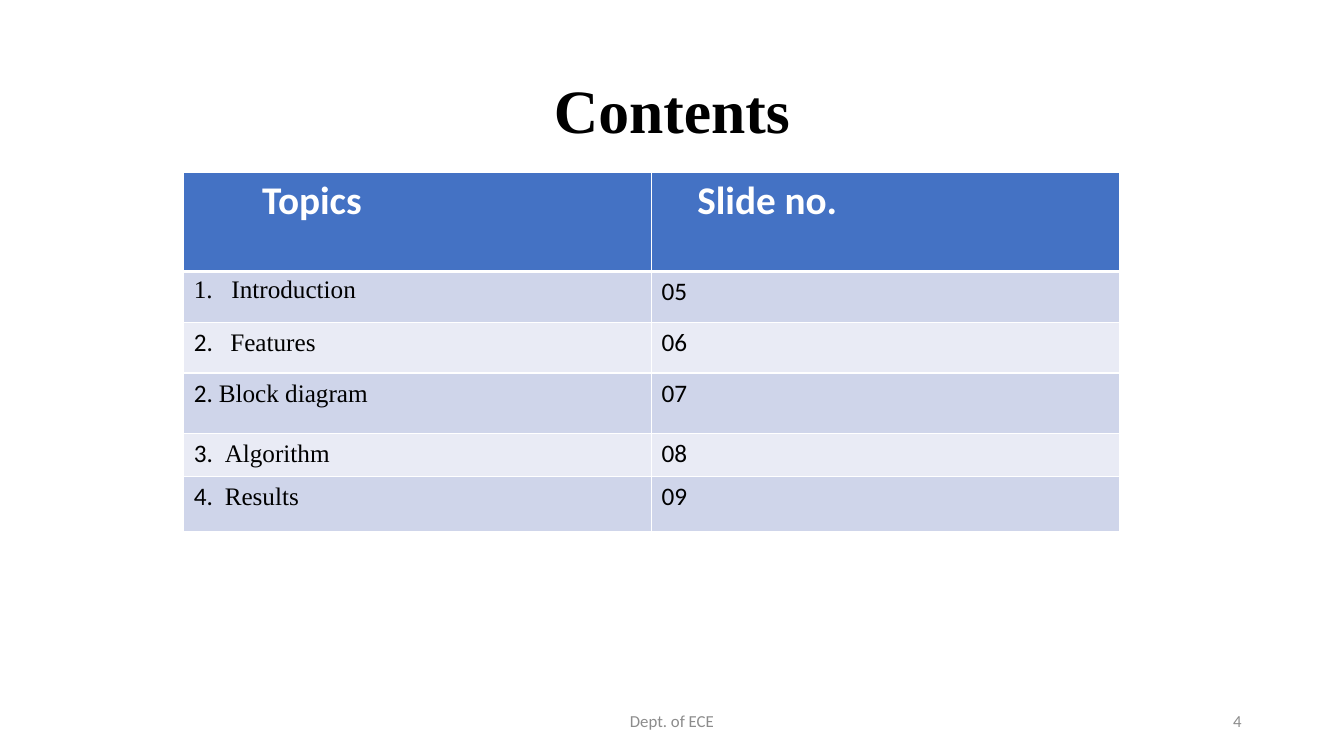
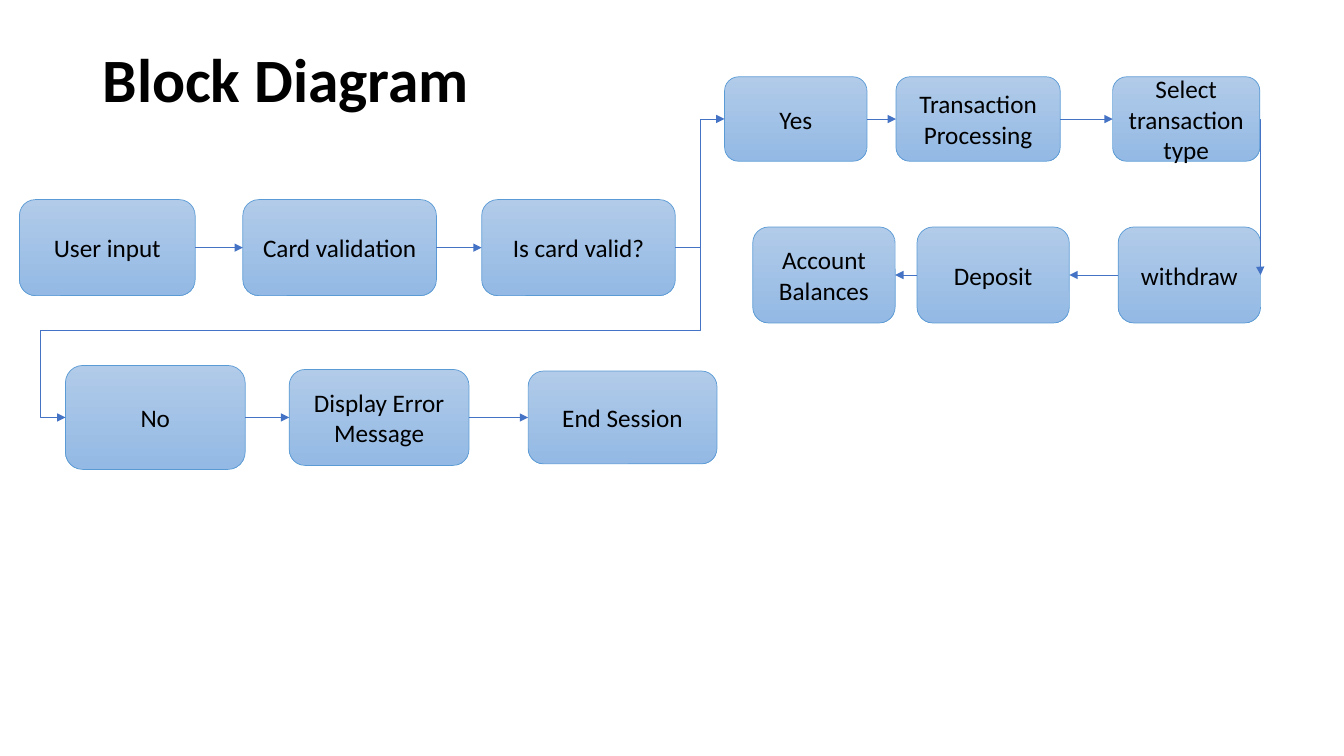
from lxml import etree
from pptx import Presentation
from pptx.dml.color import RGBColor
from pptx.enum.shapes import MSO_CONNECTOR, MSO_SHAPE
from pptx.enum.text import MSO_ANCHOR, MSO_AUTO_SIZE, PP_ALIGN
from pptx.oxml.ns import qn
from pptx.util import Cm, Pt

STRAIGHT, ELBOW = MSO_CONNECTOR.STRAIGHT, MSO_CONNECTOR.ELBOW
ROUNDED = MSO_SHAPE.ROUNDED_RECTANGLE
MIDDLE = MSO_ANCHOR.MIDDLE
LEFT, CENTER, RIGHT = PP_ALIGN.LEFT, PP_ALIGN.CENTER, PP_ALIGN.RIGHT
LEFT_SIDE, RIGHT_SIDE = 1, 3

# Shared look
SANS, SERIF = "Calibri", "Times New Roman"
BLACK, WHITE, GREY = "000000", "FFFFFF", "8C8C8C"
BLUE, BOX_LINE = "4472C4", "5B9BD5"
BOX_TOP, BOX_BOTTOM = "B1CBE9", "93B9E4"
BANDS = ("CFD5EA", "E9EBF5")
TITLE_LEFT, TITLE_TOP, TITLE_WIDTH = 2.33, 1.01, 29.21
ELBOW_REACH = Cm(0.63)


def color(hex_code):
    return RGBColor.from_string(hex_code)


def add_text(paragraph, text, size=18, font=SANS, fill=BLACK, bold=False, align=LEFT):
    paragraph.alignment = align
    run = paragraph.add_run()
    run.text = text
    run.font.size = Pt(size)
    run.font.name = font
    run.font.bold = bold
    run.font.color.rgb = color(fill)


def add_slide(presentation, title, height, **text_format):
    slide = presentation.slides.add_slide(presentation.slide_layouts[5])
    shape = slide.shapes.title
    shape.left, shape.top = Cm(TITLE_LEFT), Cm(TITLE_TOP)
    shape.width, shape.height = Cm(TITLE_WIDTH), Cm(height)
    frame = shape.text_frame
    frame.vertical_anchor = MIDDLE
    frame.auto_size = MSO_AUTO_SIZE.NONE
    paragraph = frame.paragraphs[0]
    paragraph.line_spacing = 0.9
    add_text(paragraph, title, size=44, bold=True, **text_format)
    return slide


def add_footer(slide, text, left, width, align):
    box = slide.shapes.add_textbox(Cm(left), Cm(17.65), Cm(width), Cm(1.01))
    frame = box.text_frame
    frame.word_wrap = True
    frame.vertical_anchor = MIDDLE
    add_text(frame.paragraphs[0], text, size=12, fill=GREY, align=align)


# Table parts
def set_indent(paragraph, margin, first_line=0.0):
    properties = paragraph._p.get_or_add_pPr()
    properties.set("marL", str(Cm(margin)))
    properties.set("indent", str(Cm(first_line)))
    return properties


def format_cell(cell, fill, bottom=1):
    cell.fill.solid()
    cell.fill.fore_color.rgb = color(fill)
    properties = cell._tc.get_or_add_tcPr()
    sides = (("lnL", 1), ("lnR", 1), ("lnT", 1), ("lnB", bottom))
    for position, (side, width) in enumerate(sides):
        border = etree.Element(qn(f"a:{side}"), w=str(Pt(width)))
        solid = etree.SubElement(border, qn("a:solidFill"))
        etree.SubElement(solid, qn("a:srgbClr"), val=WHITE)
        properties.insert(position, border)


def add_contents_table(slide, headers, topics, heights):
    table = slide.shapes.add_table(
        len(heights), 2, Cm(4.63), Cm(4.35), Cm(23.58), Cm(sum(heights))).table
    for row, height in zip(table.rows, heights):
        row.height = Cm(height)

    for column, (text, margin) in enumerate(headers):
        cell = table.cell(0, column)
        format_cell(cell, BLUE, bottom=3)
        paragraph = cell.text_frame.paragraphs[0]
        set_indent(paragraph, margin)
        add_text(paragraph, text, size=28, fill=WHITE, bold=True)

    for row, (number, topic, page, indent) in enumerate(topics, start=1):
        cells = table.cell(row, 0), table.cell(row, 1)
        for cell in cells:
            format_cell(cell, BANDS[(row - 1) % 2])
        paragraph = cells[0].text_frame.paragraphs[0]
        properties = set_indent(paragraph, indent, -indent)
        if number:
            add_text(paragraph, f"{number}\t")
        else:
            etree.SubElement(properties, qn("a:buFont"), typeface="+mj-lt")
            etree.SubElement(properties, qn("a:buAutoNum"), type="arabicPeriod")
        add_text(paragraph, topic, font=SERIF)
        add_text(cells[1].text_frame.paragraphs[0], page)


# Diagram parts
def add_box(slide, text, left, middle, width, height):
    shape = slide.shapes.add_shape(
        ROUNDED, Cm(left), Cm(middle - height / 2), Cm(width), Cm(height))
    shape.shadow.inherit = False
    shape.fill.gradient()
    shape.fill.gradient_angle = 270
    for stop, hex_code in zip(shape.fill.gradient_stops, (BOX_TOP, BOX_BOTTOM)):
        stop.color.rgb = color(hex_code)
    shape.line.color.rgb = color(BOX_LINE)
    shape.line.width = Pt(0.5)
    frame = shape.text_frame
    frame.word_wrap = True
    frame.vertical_anchor = MIDDLE
    add_text(frame.paragraphs[0], text, align=CENTER)
    return shape


def add_arrow(slide, start, end, start_side=RIGHT_SIDE, end_side=LEFT_SIDE, kind=STRAIGHT):
    connector = slide.shapes.add_connector(kind, 0, 0, 0, 0)
    connector.begin_connect(start, start_side)
    connector.end_connect(end, end_side)
    connector.line.color.rgb = color(BLUE)
    connector.line.width = Pt(0.5)
    etree.SubElement(connector.line._get_or_add_ln(), qn("a:tailEnd"), type="triangle")
    etree.SubElement(connector._element.spPr, qn("a:effectLst"))
    return connector


def bend(connector, *fractions):
    """Place the bends of an elbow at fractions of its width and height."""
    geometry = connector._element.spPr.find(qn("a:prstGeom"))
    geometry.set("prst", f"bentConnector{len(fractions) + 2}")
    guides = geometry.find(qn("a:avLst"))
    if guides is None:
        guides = etree.SubElement(geometry, qn("a:avLst"))
    for number, fraction in enumerate(fractions, start=1):
        name = "adj" if len(fractions) == 1 else f"adj{number}"
        etree.SubElement(guides, qn("a:gd"), name=name, fmla=f"val {round(fraction * 100000)}")


def add_flow(slide, middle, boxes, sides=(RIGHT_SIDE, LEFT_SIDE)):
    """Draw boxes on one centre line and join each to the next."""
    shapes = [add_box(slide, text, left, middle, width, height)
              for text, left, width, height in boxes]
    for start, end in zip(shapes, shapes[1:]):
        add_arrow(slide, start, end, *sides)
    return shapes


# Slides
def build_contents(presentation):
    slide = add_slide(presentation, "Contents", 3.68, font=SERIF, align=CENTER)
    add_contents_table(
        slide,
        headers=[("Topics", 1.72), ("Slide no.", 0.9)],
        topics=[
            (None, "Introduction", "05", 0.95),
            ("2.", "Features", "06", 0.92),
            ("2.", "Block diagram", "07", 0.63),
            ("3.", "Algorithm", "08", 0.78),
            ("4.", "Results", "09", 0.78),
        ],
        heights=[2.49, 1.28, 1.28, 1.53, 1.07, 1.4])
    add_footer(slide, "Dept. of ECE", 11.22, 11.43, CENTER)
    add_footer(slide, "4", 23.92, 7.62, RIGHT)


def build_diagram(presentation):
    slide = add_slide(presentation, "Block Diagram", 2.13)
    check = add_flow(slide, 6.24, [
        ("User input", 0.49, 4.43, 2.42),
        ("Card validation", 6.12, 4.88, 2.42),
        ("Is card valid?", 12.14, 4.88, 2.42),
    ])
    accepted = add_flow(slide, 3, [
        ("Yes", 18.26, 3.59, 2.13),
        ("Transaction Processing", 22.58, 4.14, 2.13),
        ("Select transaction type", 28.04, 3.71, 2.13),
    ])
    rejected = add_flow(slide, 10.52, [
        ("No", 1.65, 4.53, 2.62),
        ("Display Error Message", 7.29, 4.53, 2.42),
        ("End Session", 13.31, 4.76, 2.34),
    ])
    services = add_flow(slide, 6.93, [
        ("withdraw", 28.18, 3.59, 2.42),
        ("Deposit", 23.11, 3.84, 2.42),
        ("Account Balances", 18.97, 3.59, 2.42),
    ], sides=(LEFT_SIDE, RIGHT_SIDE))

    # Branches between the rows
    bend(add_arrow(slide, check[-1], accepted[0], kind=ELBOW), 0.5)
    no_branch = add_arrow(slide, check[-1], rejected[0], kind=ELBOW)
    reach = ELBOW_REACH / no_branch.width
    bend(no_branch, -reach, 0.49, 1 + reach)
    return_branch = add_arrow(
        slide, accepted[-1], services[0], end_side=RIGHT_SIDE, kind=ELBOW)
    bend(return_branch, ELBOW_REACH / return_branch.width)


def main():
    presentation = Presentation()
    presentation.slide_width, presentation.slide_height = Cm(33.87), Cm(19.05)
    build_contents(presentation)
    build_diagram(presentation)
    presentation.save("out.pptx")


if __name__ == "__main__":
    main()
